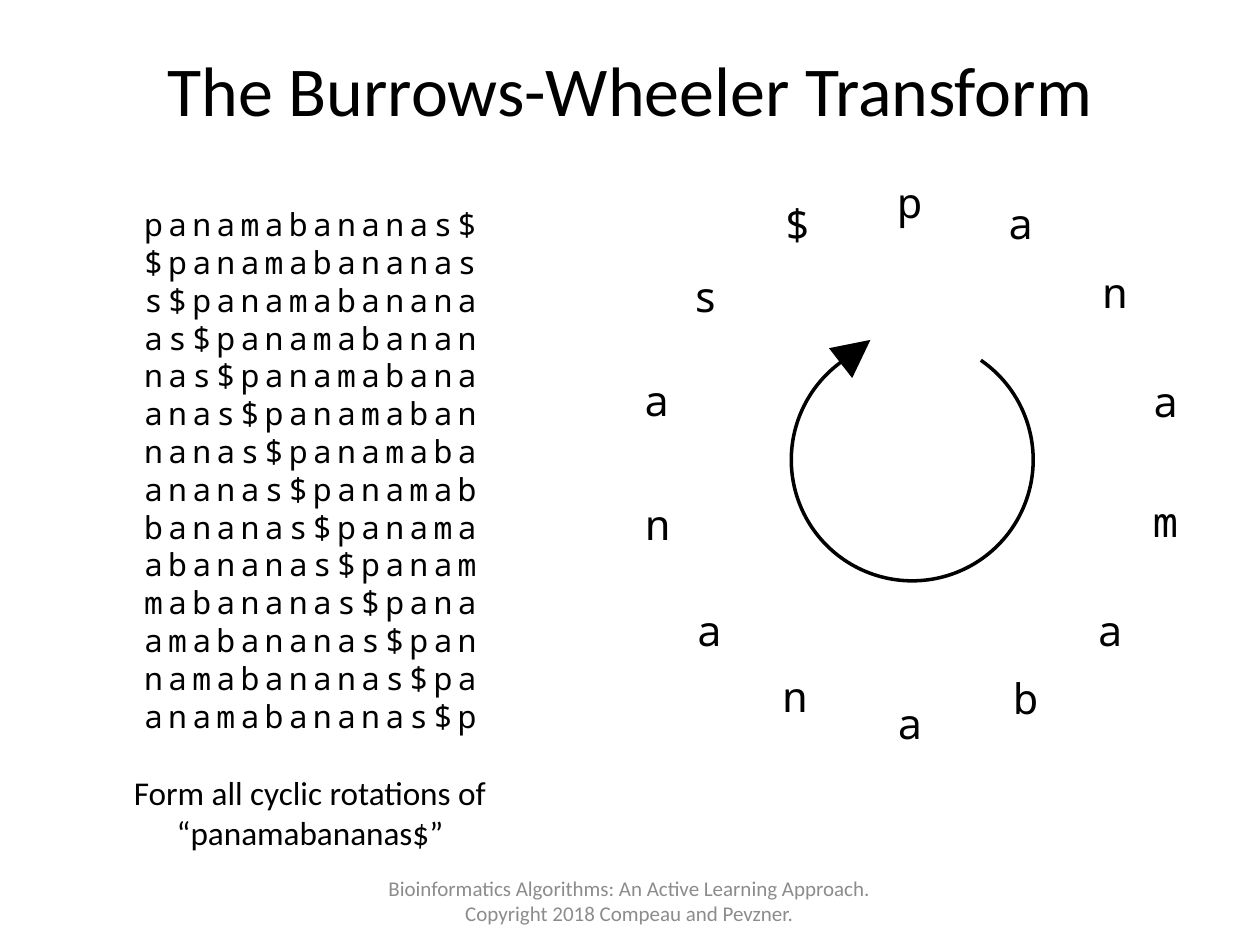
from pptx import Presentation
from pptx.dml.color import RGBColor
from pptx.enum.shapes import MSO_SHAPE
from pptx.enum.text import MSO_ANCHOR, PP_ALIGN
from pptx.util import Inches, Pt

CENTER = PP_ALIGN.CENTER
TOP, MIDDLE = MSO_ANCHOR.TOP, MSO_ANCHOR.MIDDLE
ARC, TRIANGLE = MSO_SHAPE.ARC, MSO_SHAPE.ISOSCELES_TRIANGLE

BLACK, GRAY = "000000", "8C8C8C"
SANS, MONO = "Calibri", "Noto Sans Mono"

WORD = "panamabananas$"
TITLE = "The Burrows-Wheeler Transform"
CAPTION = ["Form all cyclic rotations of", f"“{WORD}”"]
FOOTER = ("Bioinformatics Algorithms: An Active Learning Approach. "
          "Copyright 2018 Compeau and Pevzner.")

# Centres of the letters, clockwise from the top; hand-placed around the ring
LETTER_CENTERS = [
    (7.22, 1.6), (8.1, 1.77), (8.85, 2.32), (9.25, 3.18), (9.25, 4.13),
    (8.81, 5), (8.14, 5.54), (7.22, 5.74), (6.31, 5.52), (5.63, 5),
    (5.22, 4.16), (5.21, 3.17), (5.6, 2.35), (6.33, 1.78),
]
LETTER_WIDTH, LETTER_HEIGHT = 0.4, 0.5

ARC_CENTER, ARC_DIAMETER = (7.24, 3.65), 1.92
ARC_DEGREES = (304.54, 234.11)
ARROW_CENTER, ARROW_SIZE, ARROW_ROTATION = (6.79, 2.79), 0.3, 52.1


def color(hex_value):
    return RGBColor.from_string(hex_value)


def centered_box(center, width, height):
    """Return left, top, width and height of a box around a centre."""
    return center[0] - width / 2, center[1] - height / 2, width, height


def add_text(slide, box, lines, size, font=SANS, fill=BLACK, anchor=TOP,
             wrap=True, tracking=0):
    """Add centred lines; tracking is extra letter space in points."""
    frame = slide.shapes.add_textbox(*map(Inches, box)).text_frame
    frame.word_wrap = wrap
    frame.vertical_anchor = anchor
    for index, line in enumerate(lines):
        paragraph = frame.paragraphs[0] if index == 0 else frame.add_paragraph()
        paragraph.alignment = CENTER
        run = paragraph.add_run()
        run.text = line
        for name, value in {"size": Pt(size), "name": font}.items():
            setattr(run.font, name, value)
        run.font.color.rgb = color(fill)
        if tracking:
            run.font._element.set("spc", str(tracking * 100))


def add_cycle_arrow(slide):
    arc = slide.shapes.add_shape(
        ARC, *map(Inches, centered_box(ARC_CENTER, ARC_DIAMETER, ARC_DIAMETER)))
    for index, degrees in enumerate(ARC_DEGREES):
        arc.adjustments[index] = degrees * 60000 / 100000
    arc.fill.background()
    arc.line.color.rgb = color(BLACK)
    arc.line.width = Pt(2)

    head = slide.shapes.add_shape(
        TRIANGLE, *map(Inches, centered_box(ARROW_CENTER, ARROW_SIZE, ARROW_SIZE)))
    head.rotation = ARROW_ROTATION
    head.fill.solid()
    head.fill.fore_color.rgb = color(BLACK)
    head.line.fill.background()
    for shape in (arc, head):
        shape.shadow.inherit = False


def main():
    presentation = Presentation()
    presentation.slide_width, presentation.slide_height = Inches(10), Inches(7.5)
    slide = presentation.slides.add_slide(presentation.slide_layouts[6])

    rotations = [WORD[-shift:] + WORD[:-shift] if shift else WORD
                 for shift in range(len(WORD))]
    add_text(slide, (0.5, 0.08, 9, 1.25), [TITLE], 40, anchor=MIDDLE)
    add_text(slide, (0.88, 1.58, 3.17, 4.34), rotations, 18, MONO, tracking=3)
    add_text(slide, (0.75, 6.08, 3.42, 0.74), CAPTION, 19)
    for letter, center in zip(WORD, LETTER_CENTERS):
        add_text(slide, centered_box(center, LETTER_WIDTH, LETTER_HEIGHT),
                 [letter], 24, MONO, wrap=False)
    add_cycle_arrow(slide)
    add_text(slide, (2.83, 6.95, 4.33, 0.4), [FOOTER], 12, fill=GRAY, anchor=MIDDLE)
    presentation.save("out.pptx")


if __name__ == "__main__":
    main()
